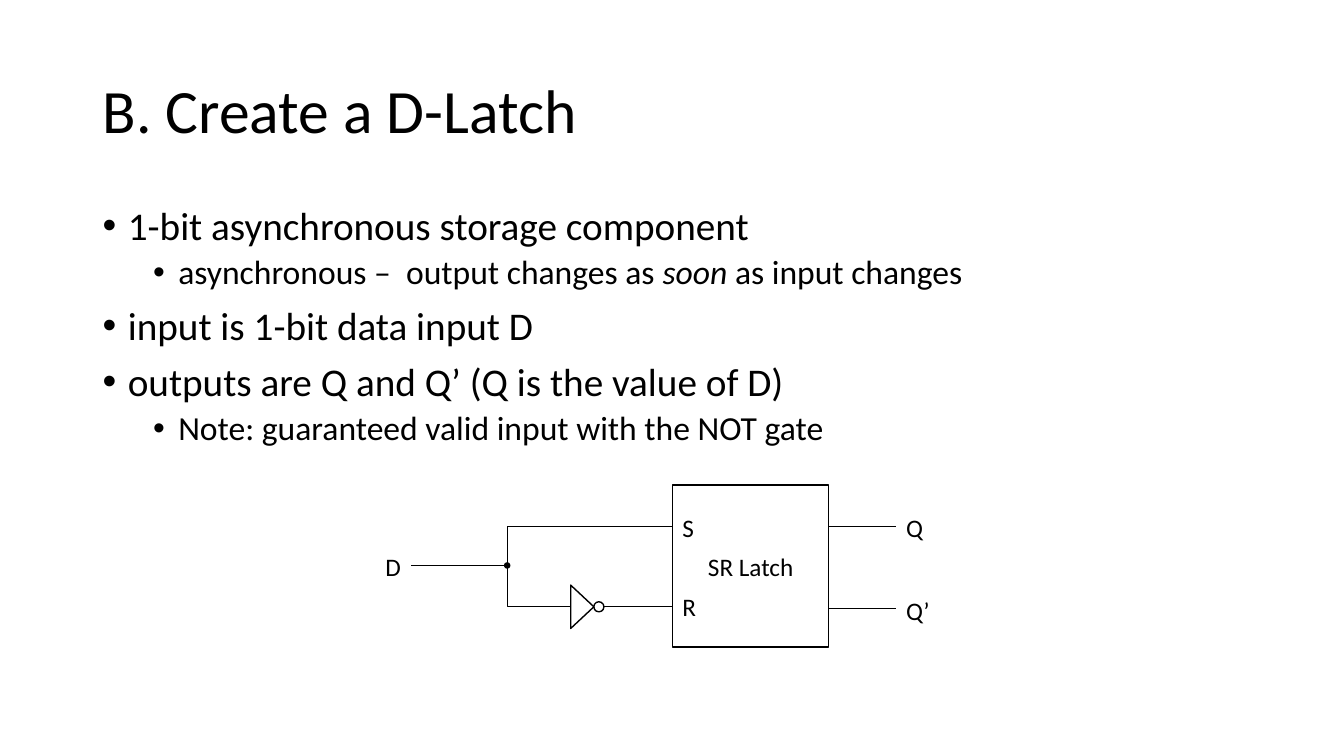
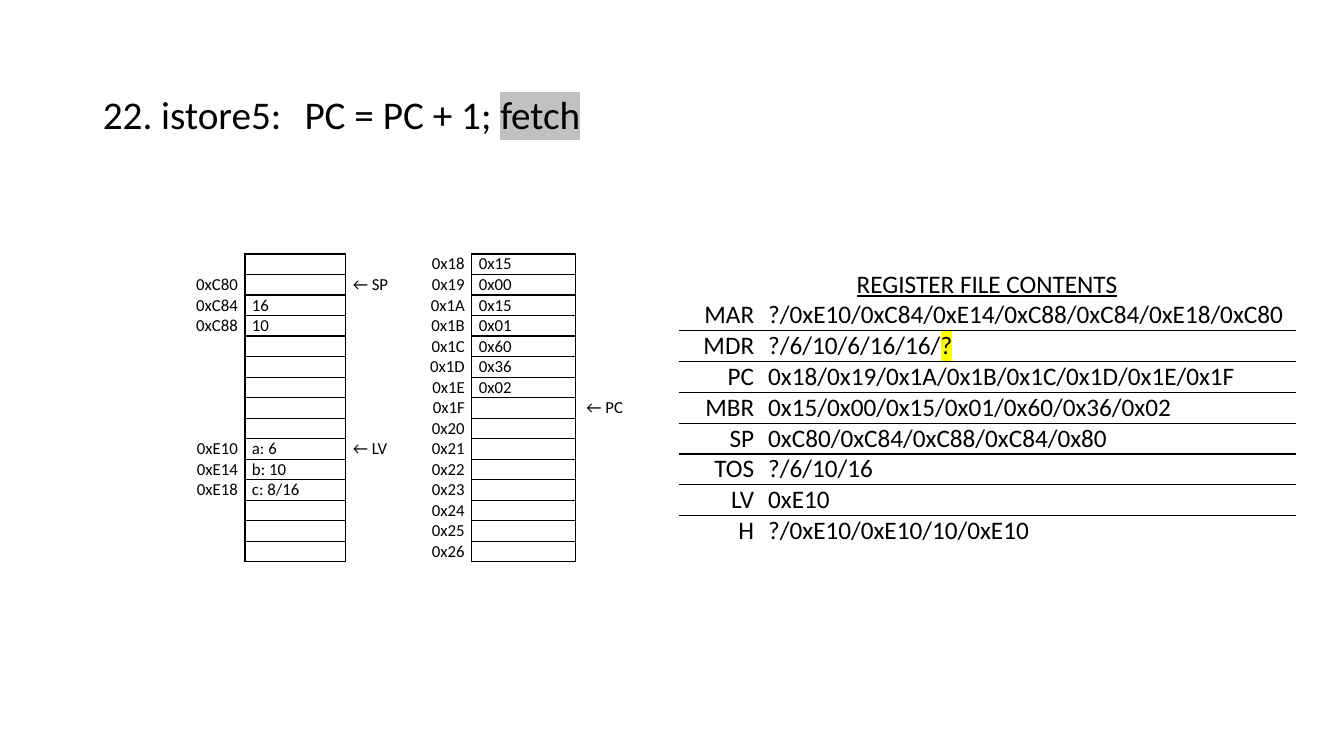
import dataclasses

import lxml.etree
import pptx
import pptx.dml.color
import pptx.enum.shapes
import pptx.enum.text
import pptx.oxml.ns
import pptx.util

Inches = pptx.util.Inches
Pt = pptx.util.Pt
qn = pptx.oxml.ns.qn
ALIGN = pptx.enum.text.PP_ALIGN
ANCHOR = pptx.enum.text.MSO_ANCHOR
AUTO = pptx.enum.text.MSO_AUTO_SIZE
SHAPE = pptx.enum.shapes.MSO_SHAPE
CONNECTOR = pptx.enum.shapes.MSO_CONNECTOR


@dataclasses.dataclass(frozen=True)
class Theme:
    font: str = "Calibri"
    ink: str = "000000"
    paper: str = "FFFFFF"
    gray: str = "C0C0C0"
    yellow: str = "FFFF00"
    title: int = 44
    heading: int = 28
    detail: int = 24
    label: int = 18
    memory: int = 12
    outline: float = 1
    wire: float = 0.5
    spacing: float = 0.9


THEME = Theme()
PLAIN_TABLE = "{2D5ABB26-0587-4C30-8999-92F81FD0307C}"


def rgb(value):
    return pptx.dml.color.RGBColor.from_string(value)


def add_xml(parent, tag, **attrs):
    return lxml.etree.SubElement(parent, qn(tag), attrs)


def write(p, runs, size, align=ALIGN.LEFT):
    p.alignment = align
    if isinstance(runs, str):
        runs = [(runs, {})]
    for text, style in runs:
        r = p.add_run()
        r.text = text
        r.font.name = THEME.font
        r.font.size = Pt(size)
        r.font.color.rgb = rgb(THEME.ink)
        if style.get("italic"):
            r.font.italic = True
        if style.get("underline"):
            r.font.underline = True
        if "highlight" in style:
            mark = add_xml(r.font._element, "a:highlight")
            add_xml(mark, "a:srgbClr", val=style["highlight"])
            r.font._element.find(qn("a:latin")).addprevious(mark)


def add_title(s, runs, size, box, anchor):
    sp = s.shapes.title
    sp.left, sp.top, sp.width, sp.height = map(Inches, box)
    tf = sp.text_frame
    tf.auto_size = AUTO.NONE
    tf.vertical_anchor = anchor
    p = tf.paragraphs[0]
    p.line_spacing = THEME.spacing
    write(p, runs, size)


def add_bullets(s, items, box):
    tf = s.shapes.add_textbox(*map(Inches, box)).text_frame
    tf.word_wrap = True
    for i, (level, runs) in enumerate(items):
        p = tf.paragraphs[0] if i == 0 else tf.add_paragraph()
        p.level = level
        p.line_spacing = THEME.spacing
        p.space_before = Pt(0 if i == 0 else 5 if level else 10)
        pPr = p._p.get_or_add_pPr()
        pPr.set("marL", str(Inches(0.25 + 0.5 * level)))
        pPr.set("indent", str(Inches(-0.25)))
        add_xml(pPr, "a:buFont", typeface="Arial")
        add_xml(pPr, "a:buChar", char="•")
        write(p, runs, THEME.detail if level else THEME.heading)


def add_part(shapes, kind, box, fill=THEME.paper):
    sp = shapes.add_shape(kind, *map(Inches, box))
    sp.shadow.inherit = False
    sp.fill.solid()
    sp.fill.fore_color.rgb = rgb(fill)
    sp.line.color.rgb = rgb(THEME.ink)
    sp.line.width = Pt(THEME.outline)
    return sp


def add_wire(s, x1, y1, x2, y2, bend_x=None):
    kind = CONNECTOR.STRAIGHT if bend_x is None else CONNECTOR.ELBOW
    wire = s.shapes.add_connector(kind, *map(Inches, (x1, y1, x2, y2)))
    wire.line.color.rgb = rgb(THEME.ink)
    wire.line.width = Pt(THEME.wire)
    spPr = wire._element.spPr
    add_xml(spPr, "a:effectLst")
    if bend_x is not None:
        ratio = round((bend_x - x1) / (x2 - x1) * 100000)
        guides = spPr.find(qn("a:prstGeom")).get_or_add_avLst()
        add_xml(guides, "a:gd", name="adj1", fmla=f"val {ratio}")


def add_label(s, text, x, center_y, width, align=ALIGN.LEFT):
    height = 0.4
    box = (x, center_y - height / 2, width, height)
    tf = s.shapes.add_textbox(*map(Inches, box)).text_frame
    tf.word_wrap = False
    tf.auto_size = AUTO.SHAPE_TO_FIT_TEXT
    write(tf.paragraphs[0], text, THEME.label, align)


def add_not_gate(s, x, center_y):
    base, depth, bubble = 0.43, 0.23, 0.1
    gate = s.shapes.add_group_shape()
    box = (x + (depth - base) / 2, center_y - depth / 2, base, depth)
    add_part(gate.shapes, SHAPE.ISOSCELES_TRIANGLE, box).rotation = 90
    box = (x + depth, center_y - bubble / 2, bubble, bubble)
    add_part(gate.shapes, SHAPE.OVAL, box)
    return x + depth + bubble


def add_latch_circuit(s, x, y):
    latch_x, latch_w, latch_h = x + 2.95, 1.55, 1.61
    set_y, data_y, reset_y, inverse_y = y + 0.41, y + 0.8, y + 1.21, y + 1.23
    data_x, joint_x, gate_x = x + 0.36, x + 1.31, x + 1.94
    out_x, out_w, dot = latch_x + latch_w, 0.67, 0.05

    latch = add_part(s.shapes, SHAPE.RECTANGLE, (latch_x, y, latch_w, latch_h))
    latch.text_frame.vertical_anchor = ANCHOR.MIDDLE
    write(latch.text_frame.paragraphs[0], "SR Latch", THEME.label, ALIGN.CENTER)

    gate_end = add_not_gate(s, gate_x, reset_y)
    add_wire(s, gate_end, reset_y, latch_x, reset_y)
    add_wire(s, data_x, data_y, gate_x, reset_y, joint_x)
    add_wire(s, data_x, data_y, latch_x, set_y, joint_x)
    for wire_y in (set_y, inverse_y):
        add_wire(s, out_x, wire_y, out_x + out_w, wire_y)

    add_label(s, "D", x, data_y + 0.01, 0.36, ALIGN.CENTER)
    add_label(s, "S", latch_x, set_y + 0.01, 0.32)
    add_label(s, "R", latch_x, reset_y, 0.34)
    add_label(s, "Q", out_x + out_w, set_y + 0.01, 0.37)
    add_label(s, "Q’", out_x + out_w, inverse_y + 0.02, 0.44)
    box = (joint_x - dot / 2, data_y - dot / 2, dot, dot)
    add_part(s.shapes, SHAPE.OVAL, box, THEME.ink)


def add_plain_table(s, x, y, cols, row_h, rows):
    box = (x, y, sum(cols), row_h * len(rows))
    table = s.shapes.add_table(len(rows), len(cols), *map(Inches, box)).table
    table.first_row = table.horz_banding = False
    table._tbl.tblPr.find(qn("a:tableStyleId")).text = PLAIN_TABLE
    for col, width in zip(table.columns, cols):
        col.width = Inches(width)
    for row in table.rows:
        row.height = Inches(row_h)
    return table


def fill_cell(cell, runs, size, align=ALIGN.LEFT, sides=""):
    cell.margin_left = cell.margin_right = Inches(0.07)
    cell.margin_top = cell.margin_bottom = 0
    tcPr = cell._tc.get_or_add_tcPr()
    for side in sides:
        ln = add_xml(tcPr, f"a:ln{side}", w=str(Pt(THEME.outline)))
        add_xml(add_xml(ln, "a:solidFill"), "a:srgbClr", val=THEME.ink)
    cell.fill.background()
    p = cell.text_frame.paragraphs[0]
    if runs:
        write(p, runs, size, align)
    else:
        p._p.get_or_add_endParaRPr().set("sz", str(size * 100))


def add_memory_table(s, x, y, stack, code, first_address, pc_row):
    rows = []
    for i, value in enumerate(code):
        pointer = " ← PC" if i == pc_row else ""
        address = f"0x{first_address + i:02X}"
        rows.append((*stack.get(i, ("", "", "")), address, value, pointer))
    cols = [0.57, 1, 0.63, 0.62, 1.03, 1.03]
    table = add_plain_table(s, x, y, cols, 0.2, rows)
    for i, row in enumerate(rows):
        for j, text in enumerate(row):
            align = ALIGN.RIGHT if j % 3 == 0 else ALIGN.LEFT
            sides = "LRTB" if j % 3 == 1 else ""
            fill_cell(table.cell(i, j), text, THEME.memory, align, sides)


def add_register_table(s, x, y, registers):
    header = ([("REGISTER FILE CONTENTS", {"underline": True})], "")
    rows = [header, *registers]
    table = add_plain_table(s, x, y, [0.82, 5.3], 0.3, rows)
    table.cell(0, 0).merge(table.cell(0, 1))
    for i, (name, history) in enumerate(rows):
        align = ALIGN.RIGHT if i else ALIGN.CENTER
        sides = "B" if 0 < i < len(rows) - 1 else ""
        fill_cell(table.cell(i, 0), name, THEME.label, align, sides)
        fill_cell(table.cell(i, 1), history, THEME.label, sides=sides)


def build_latch_slide(s):
    add_title(s, "B. Create a D-Latch", THEME.title,
              (0.92, 0.4, 11.5, 1.45), ANCHOR.MIDDLE)
    add_bullets(s, [
        (0, "1-bit asynchronous storage component"),
        (1, [("asynchronous –  output changes as ", {}),
             ("soon", {"italic": True}),
             (" as input changes", {})]),
        (0, "input is 1-bit data input D"),
        (0, "outputs are Q and Q’ (Q is the value of D)"),
        (1, "Note: guaranteed valid input with the NOT gate"),
    ], (0.92, 2, 11.5, 4.76))
    add_latch_circuit(s, 3.72, 4.81)


def build_trace_slide(s):
    add_title(s, [("22. istore5:\tPC = PC + 1; ", {}),
                  ("fetch", {"highlight": THEME.gray})],
              THEME.heading, (0.92, 0.9, 11.5, 0.51), ANCHOR.TOP)
    stack = {
        1: ("0xC80", "", "← SP"),
        2: ("0xC84", "16", ""),
        3: ("0xC88", "10", ""),
        9: ("0xE10", "a: 6", "← LV"),
        10: ("0xE14", "b: 10", ""),
        11: ("0xE18", "c: 8/16", ""),
    }
    code = ["0x15", "0x00", "0x15", "0x01", "0x60", "0x36", "0x02"] + [""] * 8
    add_memory_table(s, 1.86, 2.52, stack, code, 0x18, 7)
    add_register_table(s, 6.73, 2.67, [
        ("MAR", "?/0xE10/0xC84/0xE14/0xC88/0xC84/0xE18/0xC80"),
        ("MDR", [("?/6/10/6/16/16/", {}), ("?", {"highlight": THEME.yellow})]),
        ("PC", "0x18/0x19/0x1A/0x1B/0x1C/0x1D/0x1E/0x1F"),
        ("MBR", "0x15/0x00/0x15/0x01/0x60/0x36/0x02"),
        ("SP", "0xC80/0xC84/0xC88/0xC84/0x80"),
        ("TOS", "?/6/10/16"),
        ("LV", "0xE10"),
        ("H", "?/0xE10/0xE10/10/0xE10"),
    ])


def main():
    prs = pptx.Presentation()
    prs.slide_width, prs.slide_height = Inches(13.33), Inches(7.5)
    title_only = prs.slide_layouts[5]
    for build in (build_latch_slide, build_trace_slide):
        build(prs.slides.add_slide(title_only))
    prs.save("out.pptx")


if __name__ == "__main__":
    main()
